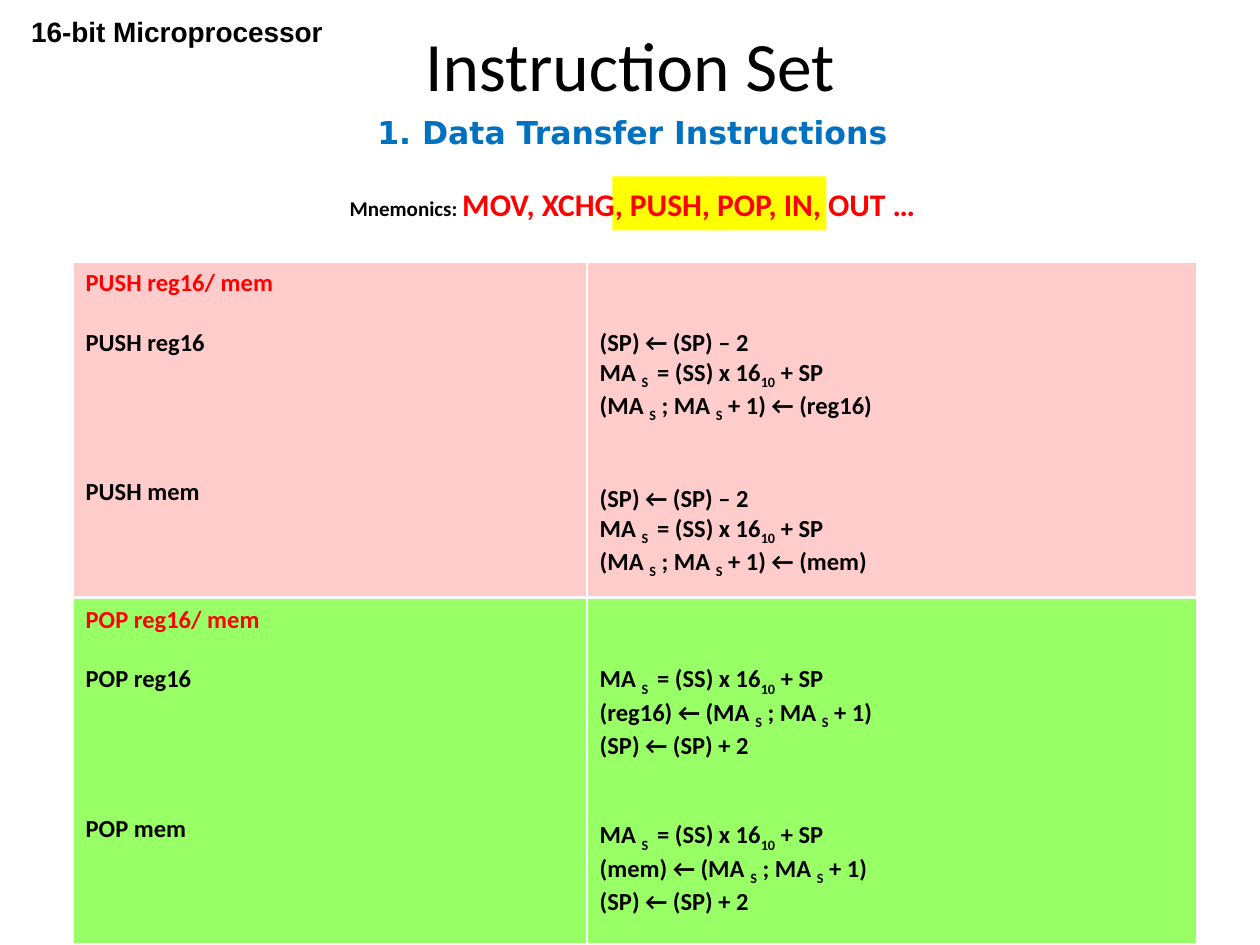
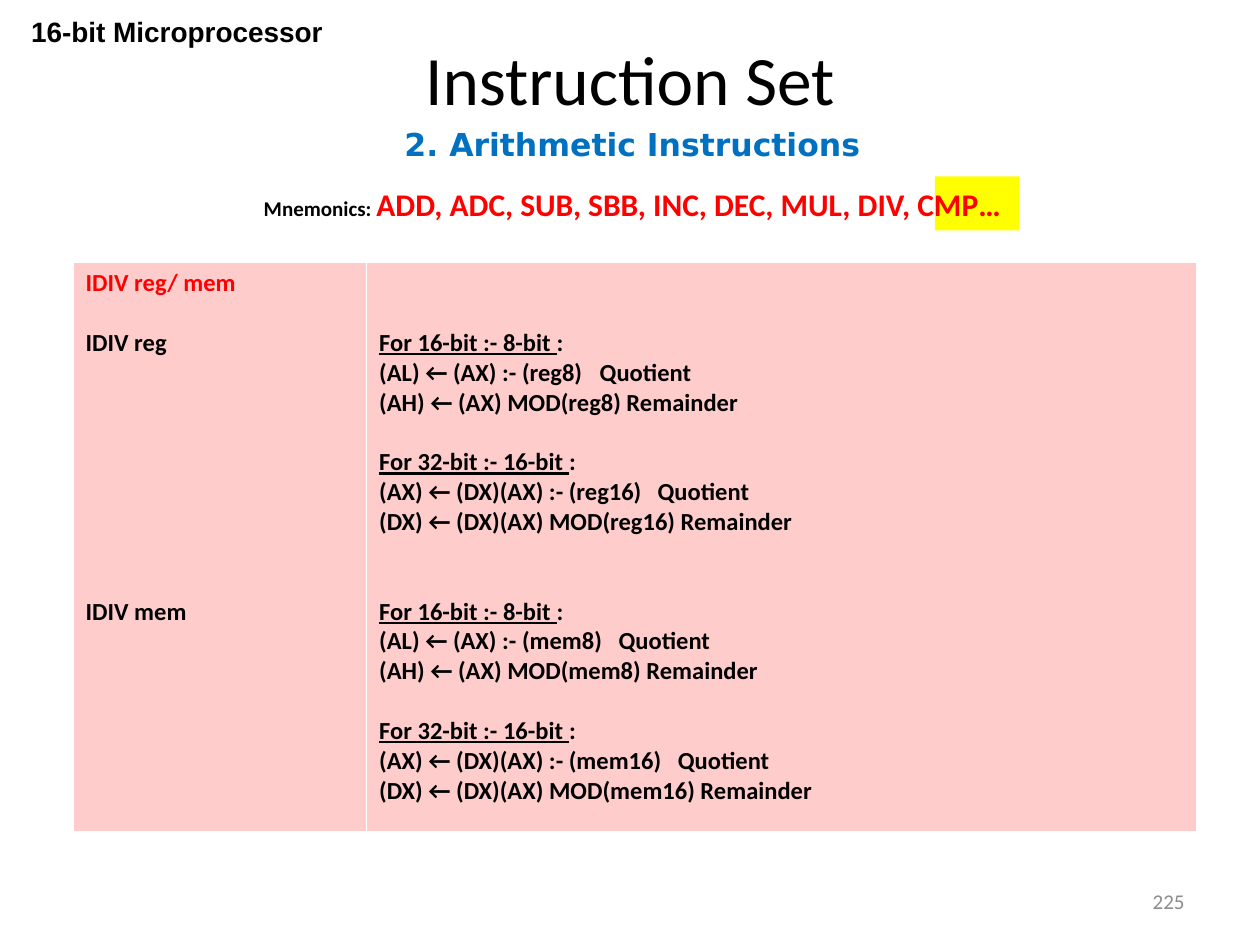
from dataclasses import dataclass

from lxml.etree import SubElement
from pptx import Presentation
from pptx.dml.color import RGBColor
from pptx.enum.shapes import MSO_SHAPE
from pptx.enum.text import MSO_ANCHOR as Anchor, MSO_AUTO_SIZE as AutoSize, PP_ALIGN as Align
from pptx.oxml import parse_xml
from pptx.oxml.ns import nsdecls, qn
from pptx.util import Inches, Pt

COLORS = {
    "black": "000000", "white": "FFFFFF", "red": "FF0000", "blue": "0070C0",
    "yellow": "FFFF00", "gray": "8C8C8C", "pink": "FFCCCC", "green": "99FF66",
}
FORMATS = {
    "title": {"name": "Calibri", "size": 39.6, "bold": False, "color": "black"},
    "subtitle": {"name": "DejaVu Sans", "size": 18, "bold": True, "color": "blue"},
    "course": {"name": "Arial", "size": 16, "bold": True, "color": "black"},
    "label": {"name": "Calibri", "size": 12, "bold": True, "color": "black"},
    "mnemonics": {"name": "Calibri", "size": 18, "bold": True, "color": "red"},
    "number": {"name": "Calibri", "size": 12, "bold": False, "color": "gray"},
    "cell": {"name": "Calibri", "size": 14, "bold": True},
}
LINE_HEIGHT = 17.1  # points, one line of cell text
TABLE_LEFT, TABLE_WIDTH = 0.58, 8.92
BORDERS = {"lnL": 1, "lnR": 1, "lnT": 1, "lnB": 3}

# ~text~ is a subscript, _text_ is underlined
ADDRESS = "MA ~S ~ = (SS) x 16~10~ + SP"
WORD = "MA ~S~ ; MA ~S~ + 1"


@dataclass
class Line:
    text: str
    gap: int = 0  # free lines above
    color: str = "black"
    stop: float = 0  # tab stop in inches


def rgb(name):
    return RGBColor.from_string(COLORS[name])


def format_font(font, values):
    for key, value in values.items():
        if key == "color":
            font.color.rgb = rgb(value)
        else:
            setattr(font, key, Pt(value) if key == "size" else value)


def add_run(paragraph, text, values):
    run = paragraph.add_run()
    run.text = text
    format_font(run.font, values)
    return run


def add_text(slide, box, pieces, align=Align.CENTER, anchor=Anchor.TOP):
    """Place one paragraph made of (text, format name) pieces."""
    shape = slide.shapes.add_textbox(*map(Inches, box))
    shape.text_frame.word_wrap = True
    shape.text_frame.vertical_anchor = anchor
    paragraph = shape.text_frame.paragraphs[0]
    paragraph.alignment = align
    for text, name in pieces:
        add_run(paragraph, text, FORMATS[name])


# Header: course name, title, subtitle and highlighted mnemonics
def add_title(slide, box):
    title = slide.shapes.title
    title.left, title.top, title.width, title.height = map(Inches, box)
    frame = title.text_frame
    frame.auto_size = AutoSize.NONE
    frame.vertical_anchor = Anchor.MIDDLE
    frame.paragraphs[0].alignment = Align.CENTER
    add_run(frame.paragraphs[0], "Instruction Set", FORMATS["title"])


def add_highlight(slide, left, width):
    shape = slide.shapes.add_shape(MSO_SHAPE.RECTANGLE, *map(Inches, (left, 1.4, width, 0.43)))
    shape.shadow.inherit = False
    shape.fill.solid()
    shape.fill.fore_color.rgb = rgb("yellow")
    shape.line.fill.background()


def add_header(slide, title_height, subtitle, subtitle_top, mnemonics, highlights):
    for left, width in highlights:
        add_highlight(slide, left, width)
    add_text(slide, (0.29, subtitle_top, 9.46, 0.43), [(subtitle, "subtitle")],
             anchor=Anchor.MIDDLE)
    add_title(slide, (0.5, 0.3, 9, title_height))
    add_text(slide, (0.07, 0.07, 2.67, 0.64), [("16-bit Microprocessor", "course")])
    add_text(slide, (0.29, 1.42, 9.46, 0.4),
             [("Mnemonics: ", "label"), (mnemonics, "mnemonics")])


# Instruction tables
def add_borders(cell):
    properties = cell._tc.get_or_add_tcPr()
    for index, (tag, width) in enumerate(BORDERS.items()):
        properties.insert(index, parse_xml(
            f'<a:{tag} {nsdecls("a")} w="{Pt(width)}"><a:solidFill>'
            f'<a:srgbClr val="{COLORS["white"]}"/></a:solidFill></a:{tag}>'))


def add_marked_text(paragraph, line):
    marker = "~" if "~" in line.text else "_"
    for index, text in enumerate(line.text.split(marker)):
        if not text:
            continue
        run = add_run(paragraph, text, FORMATS["cell"] | {"color": line.color})
        if index % 2 and marker == "~":
            run._r.get_or_add_rPr().set("baseline", "-25000")
        elif index % 2:
            run.font.underline = True


def fill_cell(cell, lines, fill):
    cell.fill.solid()
    cell.fill.fore_color.rgb = rgb(fill)
    cell.margin_top = Inches(0.05) + Pt(LINE_HEIGHT * lines[0].gap)
    add_borders(cell)
    frame = cell.text_frame
    for index, line in enumerate(lines):
        paragraph = frame.add_paragraph() if index else frame.paragraphs[0]
        if index and line.gap:
            paragraph.space_before = Pt(LINE_HEIGHT * line.gap)
        if line.stop:
            tabs = SubElement(paragraph._p.get_or_add_pPr(), qn("a:tabLst"))
            SubElement(tabs, qn("a:tab"), pos=str(Inches(line.stop)), algn="l")
        add_marked_text(paragraph, line)


def add_instruction_table(slide, top, height, first_width, fill, names, operations):
    widths = first_width, TABLE_WIDTH - first_width
    table = slide.shapes.add_table(
        1, 2, *map(Inches, (TABLE_LEFT, top, TABLE_WIDTH, height))).table
    table.first_row = table.horz_banding = False
    for column, width in zip(table.columns, widths):
        column.width = Inches(width)
    for cell, lines in zip(table.rows[0].cells, (names, operations)):
        fill_cell(cell, lines, fill)


def name_lines(mnemonic, register, gap):
    return [Line(f"{mnemonic} {register}/ mem", color="red"),
            Line(f"{mnemonic} {register}", 1), Line(f"{mnemonic} mem", gap)]


def push_lines(operand):
    return [Line("(SP) ← (SP) – 2", 2), Line(ADDRESS), Line(f"({WORD}) ← ({operand})")]


def pop_lines(operand):
    return [Line(ADDRESS, 2), Line(f"({operand}) ← ({WORD})"), Line("(SP) ← (SP) + 2")]


def divide_lines(operand, stops):
    cases = [(8, "AL", "AH", "(AX)", 2), (16, "AX", "DX", "(DX)(AX)", 1)]
    lines = []
    for (bits, quotient, remainder, dividend, gap), stop in zip(cases, stops):
        lines += [
            Line(f"_For {2 * bits}-bit :- {bits}-bit _:", gap),
            Line(f"({quotient}) ← {dividend} :- ({operand}{bits})\tQuotient", stop=stop),
            Line(f"({remainder}) ← {dividend} MOD({operand}{bits}) Remainder"),
        ]
    return lines


# Slides
def add_data_transfer_slide(slide):
    add_header(slide, 0.42, "1. Data Transfer Instructions", 0.83,
               "MOV, XCHG, PUSH, POP, IN, OUT …", [(5.69, 0.87), (4.86, 0.87)])
    add_instruction_table(slide, 2.08, 2.67, 4.08, "pink", name_lines("PUSH", "reg16", 4),
                          push_lines("reg16") + push_lines("mem"))
    add_instruction_table(slide, 4.75, 2.75, 4.08, "green", name_lines("POP", "reg16", 4),
                          pop_lines("reg16") + pop_lines("mem"))


def add_arithmetic_slide(slide):
    add_header(slide, 0.63, "2. Arithmetic Instructions", 0.93,
               "ADD, ADC, SUB, SBB, INC, DEC, MUL, DIV, CMP…", [(7.42, 0.67)])
    add_instruction_table(slide, 2.08, 4.53, 2.33, "pink", name_lines("IDIV", "reg", 8),
                          divide_lines("reg", (1.75, 2.21)) + divide_lines("mem", (1.9, 2.37)))
    add_text(slide, (7.17, 6.95, 2.33, 0.4), [("225", "number")], Align.RIGHT, Anchor.MIDDLE)


def main():
    presentation = Presentation()
    presentation.slide_width, presentation.slide_height = Inches(10), Inches(7.5)
    title_only = presentation.slide_layouts[5]
    for build in (add_data_transfer_slide, add_arithmetic_slide):
        build(presentation.slides.add_slide(title_only))
    presentation.save("out.pptx")


if __name__ == "__main__":
    main()
